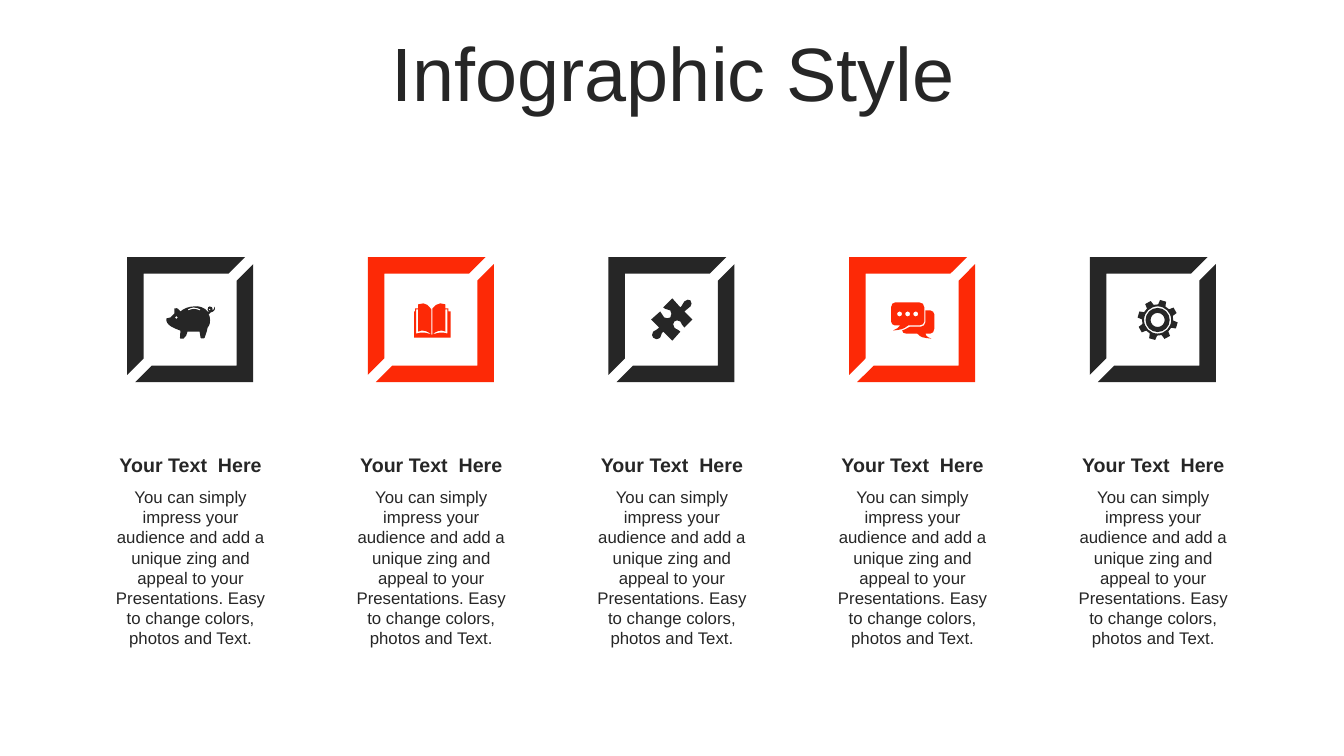
from math import cos, radians, sin

from lxml.etree import SubElement
from pptx import Presentation
from pptx.dml.color import RGBColor
from pptx.enum.shapes import MSO_SHAPE
from pptx.enum.text import MSO_ANCHOR, MSO_AUTO_SIZE, PP_ALIGN
from pptx.oxml.ns import qn
from pptx.util import Pt

PX = 9144
DARK = "262626"
RED = "FD2906"
COLUMNS_SPAN = 955
ARC = 0.55
HEADING = "Your Text  Here"
BODY = (
    "You can simply impress your audience and add a unique zing and appeal "
    "to your Presentations. Easy to change colors, photos and Text."
)


def paint(fill, colour):
    fill.solid()
    fill.fore_color.rgb = RGBColor.from_string(colour)


def write(box, text, size, bold=False, anchor=MSO_ANCHOR.MIDDLE,
          fit=MSO_AUTO_SIZE.SHAPE_TO_FIT_TEXT, spacing=None):
    frame = box.text_frame
    frame.word_wrap = True
    frame.auto_size = fit
    frame.vertical_anchor = anchor
    para = frame.paragraphs[0]
    para.alignment = PP_ALIGN.CENTER
    para.line_spacing = spacing
    span = para.add_run()
    span.text = text
    span.font.name = "Arial"
    span.font.size = Pt(size)
    span.font.bold = bold
    paint(span.font.fill, DARK)


pig = [
    [(192, 304), (197, 303, 203, 305, 206, 309), (207, 310),
     (207, 310, 207, 310, 207, 309), (207, 309, 206, 308, 206, 307),
     (206, 305, 207, 304, 208, 304), (210, 304, 211, 305, 211, 307),
     (211, 308, 211, 307, 210, 308), (211, 308, 212, 308, 213, 304),
     (214, 308, 212, 309, 209, 310), (209, 310, 208, 311, 207, 312),
     (208, 314), (209, 319, 208, 323, 206, 325), (205, 330, 204, 332, 203, 335),
     (203, 336, 199, 336, 199, 335), (199, 333, 198, 331, 198, 329),
     (194, 329, 189, 329, 186, 329), (186, 332, 184, 334, 182, 336),
     (179, 336), (178, 336, 179, 331, 179, 328), (174, 326, 164, 323, 165, 316),
     (165, 315, 168, 316, 169, 315), (171, 313, 171, 312, 173, 311),
     (173, 309, 173, 307, 173, 306), (177, 305, 177, 307, 179, 309),
     (182, 306, 188, 304, 192, 304)],
    [(192, 305), (190, 305, 188, 306, 186, 307), (187, 308),
     (190, 306, 195, 306, 198, 308), (199, 307), (197, 306, 195, 305, 192, 305)],
    [(175, 315, 1.5)],
    [(208, 307, 1)],
]
book = [
    [(428, 332), (428, 307), (425, 303, 423, 301, 420, 301),
     (418, 301, 417, 302, 415, 302), (415, 306), (412, 306), (412, 309),
     (411, 309), (411, 335), (447, 335), (447, 309), (445, 309), (445, 306),
     (442, 306), (442, 302), (440, 302, 439, 301, 437, 301),
     (434, 301, 432, 303, 429, 306), (429, 332),
     (433, 328, 438, 327, 442, 329), (442, 307), (444, 307), (444, 331),
     (438, 329, 435, 330, 429, 332), (428, 332),
     (423, 330, 419, 329, 413, 331), (413, 307), (415, 307), (415, 329),
     (419, 327, 424, 328, 428, 332)],
]
puzzle = [
    [(685, 298), (686, 300, 687, 303, 685, 304), (683, 307, 681, 306, 679, 309),
     (687, 317), (679, 325), (676, 323, 677, 321, 675, 319),
     (673, 317, 670, 318, 669, 319), (668, 320, 667, 323, 669, 325),
     (672, 328, 673, 326, 675, 329), (667, 338), (658, 329),
     (655, 332, 657, 332, 655, 335), (652, 337, 650, 337, 648, 335),
     (647, 334, 646, 331, 648, 329), (650, 327, 652, 328, 654, 325),
     (646, 317), (655, 309), (658, 311, 656, 313, 659, 315),
     (661, 316, 663, 316, 665, 315), (666, 313, 667, 310, 665, 308),
     (662, 306, 661, 308, 658, 305), (667, 296), (675, 305),
     (678, 302, 677, 301, 679, 299), (681, 297, 684, 297, 685, 298)],
]
chat = [
    [(888, 300), (912, 300), (915, 300, 917, 302, 917, 305), (917, 319),
     (917, 321, 915, 323, 912, 323), (901, 323), (896, 327, 894, 327, 886, 328),
     (891, 325, 891, 326, 893, 323), (888, 323), (886, 323, 884, 321, 884, 319),
     (884, 305), (884, 302, 886, 300, 888, 300)],
    [(918, 308), (923, 308), (925, 308, 927, 310, 927, 312), (927, 326),
     (927, 329, 925, 331, 923, 331), (918, 331), (919, 332, 918, 334, 924, 336),
     (915, 335, 914, 335, 910, 331), (899, 331), (897, 331, 895, 330, 895, 328),
     (897, 327, 900, 326, 903, 324), (914, 324), (916, 324, 918, 322, 918, 320)],
    *[[(x, 311.5, 2.5)] for x in (892.5, 900.5, 908.5)],
]
gear_x, gear_y = 1148.5, 317.5
gear = [
    [(gear_x + radius * cos(radians(tooth + turn)),
      gear_y + radius * sin(radians(tooth + turn)))
     for tooth in range(16, 376, 45)
     for radius, turn in ((15.5, -14), (20, -9), (20, 9), (15.5, 14))],
    *[[(gear_x, gear_y, radius)] for radius in (13.5, 12, 7)],
]

deck = Presentation()
deck.slide_width = 12192000
deck.slide_height = 750 * PX
page = deck.slides.add_slide(deck.slide_layouts[5])

title = page.shapes.title
title.left, title.top, title.width, title.height = (
    length * PX for length in (35, 37, 1266, 79))
write(title, "Infographic Style", 54, fit=MSO_AUTO_SIZE.NONE, spacing=0.9)

for column, icon in enumerate((pig, book, puzzle, chat, gear)):
    center = deck.slide_width // 2 + (column - 2) * COLUMNS_SPAN * PX // 4
    parts = []
    for shift, top, rotation in ((-63, 255, 0), (-55, 262, 180)):
        bracket = page.shapes.add_shape(
            MSO_SHAPE.HALF_FRAME, center + shift * PX, top * PX, 117 * PX, 117 * PX)
        bracket.rotation = rotation
        bracket.adjustments[0] = bracket.adjustments[1] = 0.14
        parts.append(bracket)

    builder = None
    segments = []
    for contour in icon:
        if len(contour[0]) == 3:
            x, y, r = contour[0]
            k = r * ARC
            contour = [
                (x + r, y), (x + r, y + k, x + k, y + r, x, y + r),
                (x - k, y + r, x - r, y + k, x - r, y),
                (x - r, y - k, x - k, y - r, x, y - r),
                (x + k, y - r, x + r, y - k, x + r, y)]
        ends = [(step[-2] * PX, step[-1] * PX) for step in contour]
        if builder is None:
            builder = page.shapes.build_freeform(*ends[0], scale=1.0)
        else:
            builder.move_to(*ends[0])
        builder.add_line_segments(ends[1:], close=True)
        segments += contour[1:]
    drawing = builder.convert_to_shape()
    parts.append(drawing)

    lines = list(drawing.element.iter(qn("a:lnTo")))
    corners = [step for step in segments]
    for line, step in zip(lines, corners):
        if len(step) == 6:
            line.tag = qn("a:cubicBezTo")
            line.remove(line[0])
            for x, y in zip(step[::2], step[1::2]):
                SubElement(line, qn("a:pt"), x=str(round(x * PX) - drawing.left),
                           y=str(round(y * PX) - drawing.top))

    for part in parts:
        part.shadow.inherit = False
        part.line.fill.background()
        paint(part.fill, RED if column % 2 else DARK)

    for top, height, text, style in (
        (444, 34, HEADING, {"size": 14, "bold": True}),
        (478, 172, BODY, {"size": 12, "anchor": MSO_ANCHOR.TOP}),
    ):
        box = page.shapes.add_textbox(center - 171 * PX // 2, top * PX, 171 * PX, height * PX)
        write(box, text, **style)

deck.save("out.pptx")
